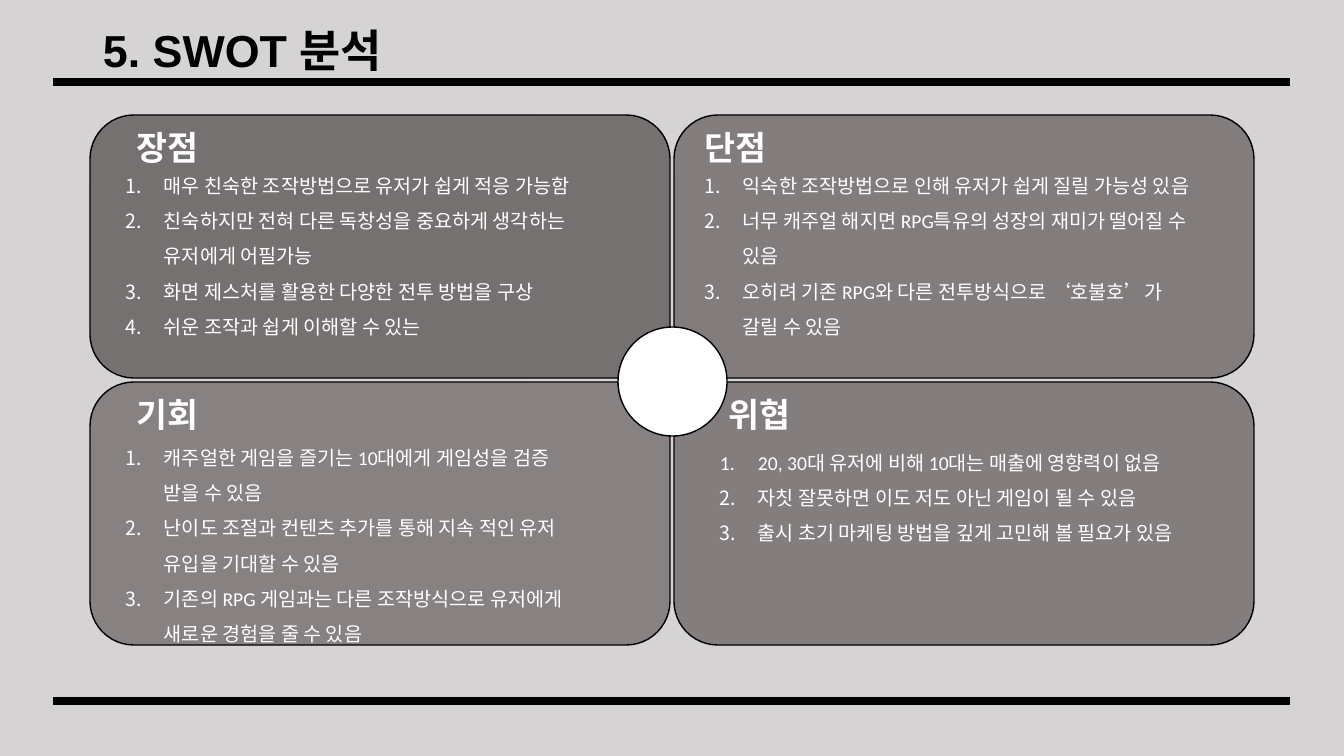
from copy import deepcopy

from lxml import etree
from pptx import Presentation
from pptx.dml.color import RGBColor
from pptx.enum.shapes import MSO_CONNECTOR, MSO_SHAPE
from pptx.enum.text import MSO_ANCHOR, MSO_AUTO_SIZE
from pptx.oxml.ns import qn
from pptx.util import Pt

STRAIGHT = MSO_CONNECTOR.STRAIGHT
ROUNDED = MSO_SHAPE.ROUNDED_RECTANGLE
OVAL = MSO_SHAPE.OVAL
TOP, MIDDLE = MSO_ANCHOR.TOP, MSO_ANCHOR.MIDDLE
GROW, FIXED = MSO_AUTO_SIZE.SHAPE_TO_FIT_TEXT, MSO_AUTO_SIZE.NONE

BLACK = RGBColor(0x00, 0x00, 0x00)
WHITE = RGBColor(0xFF, 0xFF, 0xFF)
BACKDROP = RGBColor(0xD5, 0xD3, 0xD3)
STRENGTH_GRAY = RGBColor(0x76, 0x71, 0x71)
WEAKNESS_GRAY = RGBColor(0x82, 0x7C, 0x7C)
OPPORTUNITY_GRAY = RGBColor(0x87, 0x81, 0x81)
THREAT_GRAY = RGBColor(0x83, 0x7D, 0x7D)

EMU_PER_PX = 914400 / 100.8
CARD_LEFT, CARD_TOP = 90, 115
CARD_WIDTH, CARD_HEIGHT = 580, 263
CARD_STEP_X, CARD_STEP_Y = 584, 267
HUB_SIZE = 109
LIST_INDENT = 38

# color, heading, heading box, points, points box; in reading order
QUADRANTS = [
    (STRENGTH_GRAY, "장점", (127, 122, 92, 50), [
        "매우 친숙한 조작방법으로 유저가 쉽게 적응 가능함",
        "친숙하지만 전혀 다른 독창성을 중요하게 생각하는\n유저에게 어필가능",
        "화면 제스처를 활용한 다양한 전투 방법을 구상",
        "쉬운 조작과 쉽게 이해할 수 있는",
    ], (116, 157, 501, 184)),
    (WEAKNESS_GRAY, "단점", (695, 122, 88, 50), [
        "익숙한 조작방법으로 인해 유저가 쉽게 질릴 가능성 있음",
        "너무 캐주얼 해지면 RPG특유의 성장의 재미가 떨어질 수\n있음",
        "오히려 기존 RPG와 다른 전투방식으로 ‘호불호’가\n갈릴 수 있음",
    ], (695, 157, 544, 220)),
    (OPPORTUNITY_GRAY, "기회", (127, 389, 92, 50), [
        "캐주얼한 게임을 즐기는 10대에게 게임성을 검증\n받을 수 있음",
        "난이도 조절과 컨텐츠 추가를 통해 지속 적인 유저\n유입을 기대할 수 있음",
        "기존의 RPG 게임과는 다른 조작방식으로 유저에게\n새로운 경험을 줄 수 있음",
    ], (116, 429, 501, 220)),
    (THREAT_GRAY, "위협", (719, 389, 102, 50), [
        "20, 30대 유저에 비해 10대는 매출에 영향력이 없음",
        "자칫 잘못하면 이도 저도 아닌 게임이 될 수 있음",
        "출시 초기 마케팅 방법을 깊게 고민해 볼 필요가 있음",
    ], (710, 434, 509, 149)),
]


def px(length):
    return round(length * EMU_PER_PX)


def add_rule(slide, y):
    rule = slide.shapes.add_connector(STRAIGHT, px(53), px(y), px(1290), px(y))
    rule.line.color.rgb = BLACK
    rule.line.width = Pt(6)
    etree.SubElement(rule._element.spPr, qn("a:effectLst"))


def add_panel(slide, preset, box, color):
    panel = slide.shapes.add_shape(preset, *map(px, box))
    panel.shadow.inherit = False
    panel.fill.solid()
    panel.fill.fore_color.rgb = color
    panel.line.color.rgb = BLACK
    panel.line.width = Pt(1)


def number_paragraph(paragraph):
    properties = paragraph._p.get_or_add_pPr()
    properties.set("marL", str(px(LIST_INDENT)))
    properties.set("indent", str(-px(LIST_INDENT)))
    etree.SubElement(properties, qn("a:buFont"), typeface="+mj-lt")
    etree.SubElement(properties, qn("a:buAutoNum"), type="arabicPeriod")


def add_text(slide, paragraphs, box, size, font="Calibri", color=WHITE, bold=False,
             anchor=TOP, spacing=None, numbered=False, wrap=True, autosize=GROW):
    frame = slide.shapes.add_textbox(*map(px, box)).text_frame
    frame.word_wrap = wrap
    frame.auto_size = autosize
    frame.vertical_anchor = anchor
    for index, text in enumerate(paragraphs):
        paragraph = frame.add_paragraph() if index else frame.paragraphs[0]
        paragraph.text = text.replace("\n", "\v")
        if numbered:
            number_paragraph(paragraph)
        if spacing:
            paragraph.line_spacing = spacing
        for run in paragraph.runs:
            run.font.name = font
            run.font.size = Pt(size)
            run.font.bold = bold
            run.font.color.rgb = color
        # Line breaks take the run format so that they keep the line height
        for line_break in paragraph._p.findall(qn("a:br")):
            line_break.append(deepcopy(paragraph.runs[0]._r.rPr))


def main():
    deck = Presentation()
    deck.slide_width, deck.slide_height = px(1344), px(756)
    slide = deck.slides.add_slide(deck.slide_layouts[6])
    slide.background.fill.solid()
    slide.background.fill.fore_color.rgb = BACKDROP

    for y in (82, 701):
        add_rule(slide, y)
    add_text(slide, ["5. SWOT 분석"], (93, 22, 1159, 62), 32, font="Arial",
             color=BLACK, bold=True, anchor=MIDDLE, spacing=0.9, autosize=FIXED)

    for index, (color, *_) in enumerate(QUADRANTS):
        row, column = divmod(index, 2)
        corner = (CARD_LEFT + column * CARD_STEP_X, CARD_TOP + row * CARD_STEP_Y)
        add_panel(slide, ROUNDED, (*corner, CARD_WIDTH, CARD_HEIGHT), color)
    add_panel(slide, OVAL, (618, 327, HUB_SIZE, HUB_SIZE), WHITE)

    for _, heading, heading_box, points, points_box in QUADRANTS:
        add_text(slide, [heading], heading_box, 24, bold=True)
        add_text(slide, points, points_box, 14, spacing=1.5, numbered=True, wrap=False)

    deck.save("out.pptx")


if __name__ == "__main__":
    main()
